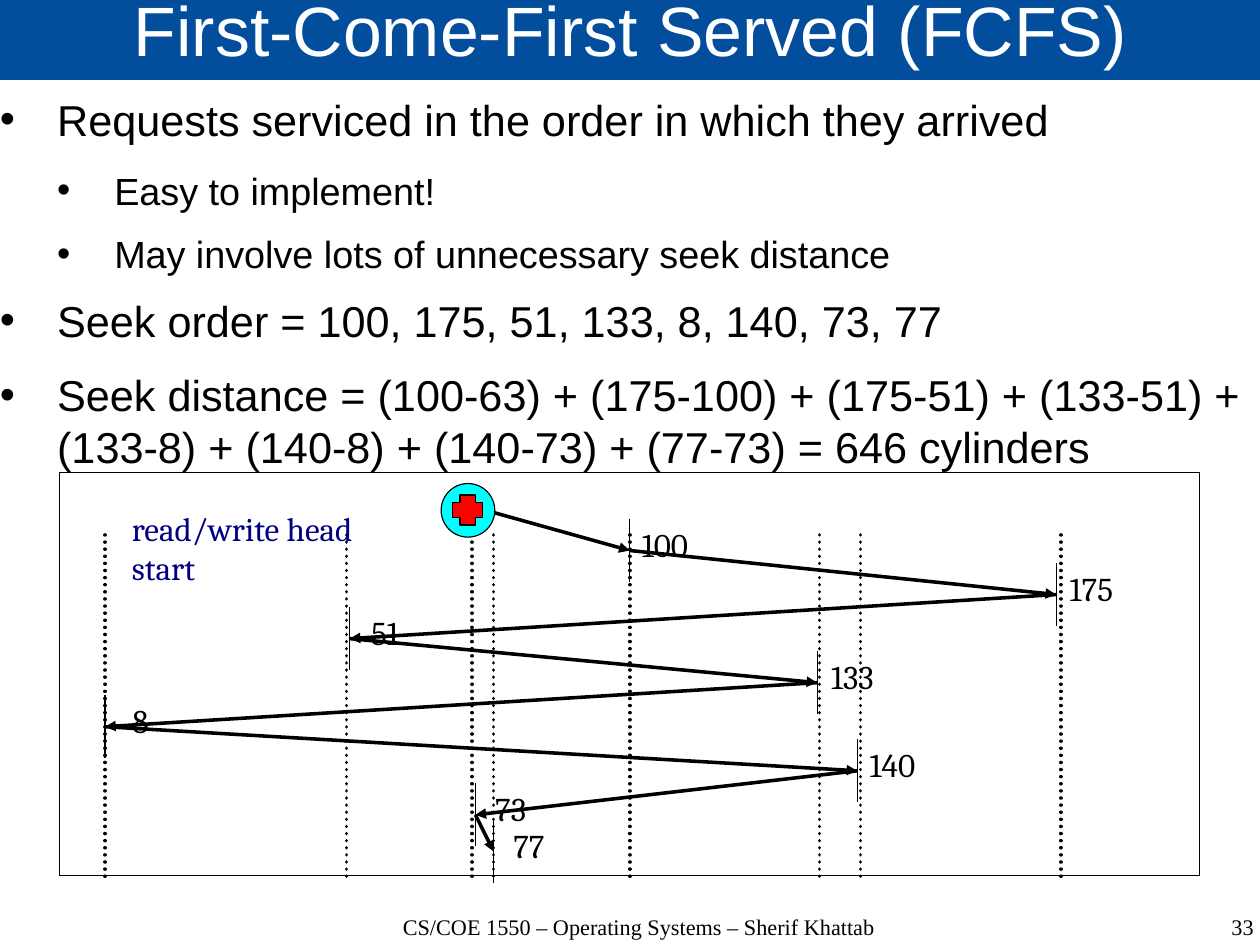
from dataclasses import dataclass
from itertools import pairwise

from lxml.etree import SubElement
from pptx import Presentation
from pptx.dml.color import RGBColor
from pptx.enum.dml import MSO_LINE
from pptx.enum.shapes import MSO_CONNECTOR, MSO_SHAPE
from pptx.enum.text import MSO_ANCHOR, PP_ALIGN
from pptx.oxml.ns import qn
from pptx.util import Pt


@dataclass(frozen=True)
class Theme:
    banner: str = "024E9D"
    white: str = "FFFFFF"
    ink: str = "000000"
    note: str = "000080"
    disc: str = "00FFFF"
    cross: str = "FF0000"
    sans: str = "Arial"
    serif: str = "Cambria"
    footer_font: str = "Times New Roman"
    title_size: float = 44
    body_sizes: tuple = (27.2, 23.8)
    body_gaps: tuple = (14.2, 11.4)
    label_size: float = 20.9
    footer_size: float = 14
    thin: float = 0.75
    thick: float = 2.25


THEME = Theme()

BULLETS = [
    (0, "Requests serviced in the order in which they arrived"),
    (1, "Easy to implement!"),
    (1, "May involve lots of unnecessary seek distance"),
    (0, "Seek order = 100, 175, 51, 133, 8, 140, 73, 77"),
    (0, "Seek distance = (100-63) + (175-100) + (175-51) + (133-51) +\v"
        "(133-8) + (140-8) + (140-73) + (77-73) = 646 cylinders"),
]

# Horizontal places of the dotted cylinder tracks
TRACKS = [66.2, 218.2, 297.4, 311, 396.7, 516.2, 542.2, 668.2]

# Cylinder and horizontal place of each stop, in seek order
STOPS = [(100, 396.7), (175, 665.3), (51, 220.3), (133, 514.8),
         (8, 66.2), (140, 540), (73, 299.5), (77, 311)]
FIRST_STOP_Y, STOP_STEP, LAST_STOP_Y = 346.8, 27.75, 536.4
TICK_HEIGHT = 39.6


def color(value):
    return RGBColor.from_string(value)


def set_values(target, values):
    for name, value in values.items():
        setattr(target, name, value)


def fill_paragraph(paragraph, text, font, size, ink, **layout):
    set_values(paragraph, layout)
    paragraph.text = text
    for run in paragraph.runs:
        set_values(run.font, {"name": font, "size": Pt(size)})
        run.font.color.rgb = color(ink)


def set_frame(frame, wrap=True, inset_x=0, inset_y=0, anchor=MSO_ANCHOR.TOP):
    set_values(frame, {
        "word_wrap": wrap, "vertical_anchor": anchor,
        "margin_left": Pt(inset_x), "margin_right": Pt(inset_x),
        "margin_top": Pt(inset_y), "margin_bottom": Pt(inset_y)})


def add_text(slide, box, text, font, size, ink, frame=None, **layout):
    shape = slide.shapes.add_textbox(*map(Pt, box))
    set_frame(shape.text_frame, **(frame or {}))
    fill_paragraph(shape.text_frame.paragraphs[0], text, font, size, ink, **layout)


def add_figure(slide, kind, box, fill=None, line=None):
    shape = slide.shapes.add_shape(kind, *map(Pt, box))
    shape.shadow.inherit = False
    if fill:
        shape.fill.solid()
        shape.fill.fore_color.rgb = color(fill)
    else:
        shape.fill.background()
    if line:
        shape.line.color.rgb = color(line)
        shape.line.width = Pt(THEME.thin)
    else:
        shape.line.fill.background()
    return shape


def add_line(slide, start, end, width, dotted=False, arrow=False):
    line = slide.shapes.add_connector(
        MSO_CONNECTOR.STRAIGHT, *map(Pt, (*start, *end)))
    line.line.color.rgb = color(THEME.ink)
    line.line.width = Pt(width)
    properties = line._element.spPr
    outline = properties.find(qn("a:ln"))
    if dotted:
        line.line.dash_style = MSO_LINE.ROUND_DOT
        outline.set("cap", "rnd")
    if arrow:
        SubElement(outline, qn("a:tailEnd"), type="triangle")
    SubElement(properties, qn("a:effectLst"))


def add_bullet(paragraph, level):
    properties = paragraph._p.get_or_add_pPr()
    properties.set("marL", str(Pt(36 * (level + 1))))
    properties.set("indent", str(-Pt(36)))
    bullet_color = SubElement(properties, qn("a:buClr"))
    SubElement(bullet_color, qn("a:srgbClr"), val=THEME.ink)
    SubElement(properties, qn("a:buFont"), typeface=THEME.sans)
    SubElement(properties, qn("a:buChar"), char="•")


def add_title(slide):
    banner = add_figure(slide, MSO_SHAPE.RECTANGLE, (0, -1.5, 795, 51.8), THEME.banner)
    set_frame(banner.text_frame, anchor=MSO_ANCHOR.MIDDLE)
    fill_paragraph(banner.text_frame.paragraphs[0], "First-Come-First Served (FCFS)",
                   THEME.sans, THEME.title_size, THEME.white,
                   alignment=PP_ALIGN.CENTER, line_spacing=0.69)


def add_body(slide):
    frame = slide.shapes.add_textbox(*map(Pt, (0, 58.5, 795, 204.5))).text_frame
    set_frame(frame)
    for index, (level, text) in enumerate(BULLETS):
        paragraph = frame.add_paragraph() if index else frame.paragraphs[0]
        add_bullet(paragraph, level)
        fill_paragraph(paragraph, text, THEME.sans, THEME.body_sizes[level], THEME.ink,
                       level=level, space_after=Pt(THEME.body_gaps[level]))


def add_footer(slide):
    for box, text, alignment in [
        ((221, 576.7, 363, 39.6), "CS/COE 1550 – Operating Systems – Sherif Khattab",
         PP_ALIGN.CENTER),
        ((607.7, 576.7, 182, 39.6), "33", PP_ALIGN.RIGHT),
    ]:
        add_text(slide, box, text, THEME.footer_font, THEME.footer_size, THEME.ink,
                 alignment=alignment, line_spacing=0.96)


def add_stop(slide, cylinder, x, y):
    top = y - TICK_HEIGHT / 2
    add_line(slide, (x, top), (x, top + TICK_HEIGHT), THEME.thin)
    width = 10.6 * len(str(cylinder))
    add_text(slide, (x + 22.2 - width / 2, top - 0.3, width, 33), str(cylinder),
             THEME.serif, THEME.label_size, THEME.ink,
             frame={"wrap": False, "inset_y": 3.6}, alignment=PP_ALIGN.CENTER)


def add_seek_diagram(slide):
    # Cylinder tracks and frame
    for x in TRACKS:
        add_line(slide, (x, 337), (x, 555.8), THEME.thick, dotted=True)
    add_figure(slide, MSO_SHAPE.RECTANGLE, (37.4, 297.6, 718, 254.2), line=THEME.ink)

    # Stops with their labels
    points = [(x, FIRST_STOP_Y + STOP_STEP * index)
              for index, (_, x) in enumerate(STOPS)]
    points[-1] = (points[-1][0], LAST_STOP_Y)
    for (cylinder, _), point in zip(STOPS, points):
        add_stop(slide, cylinder, *point)
    add_text(slide, (76, 316.4, 188, 60), "read/write head start",
             THEME.serif, THEME.label_size, THEME.note,
             frame={"inset_x": 7.2, "inset_y": 3.6})

    # Head movements
    for start, end in pairwise([(304.6, 321.1), *points]):
        add_line(slide, start, end, THEME.thick, arrow=True)

    # Start marker
    add_figure(slide, MSO_SHAPE.OVAL, (277.9, 304.6, 33.8, 33.8), THEME.disc, THEME.ink)
    cross = add_figure(slide, MSO_SHAPE.CROSS, (285.1, 311.8, 19, 19),
                       THEME.cross, THEME.ink)
    cross.adjustments[0] = 0.25


def main():
    presentation = Presentation()
    set_values(presentation, {"slide_width": Pt(793.7), "slide_height": Pt(595.3)})
    slide = presentation.slides.add_slide(presentation.slide_layouts[6])
    add_title(slide)
    add_body(slide)
    add_footer(slide)
    add_seek_diagram(slide)
    presentation.save("out.pptx")


if __name__ == "__main__":
    main()
